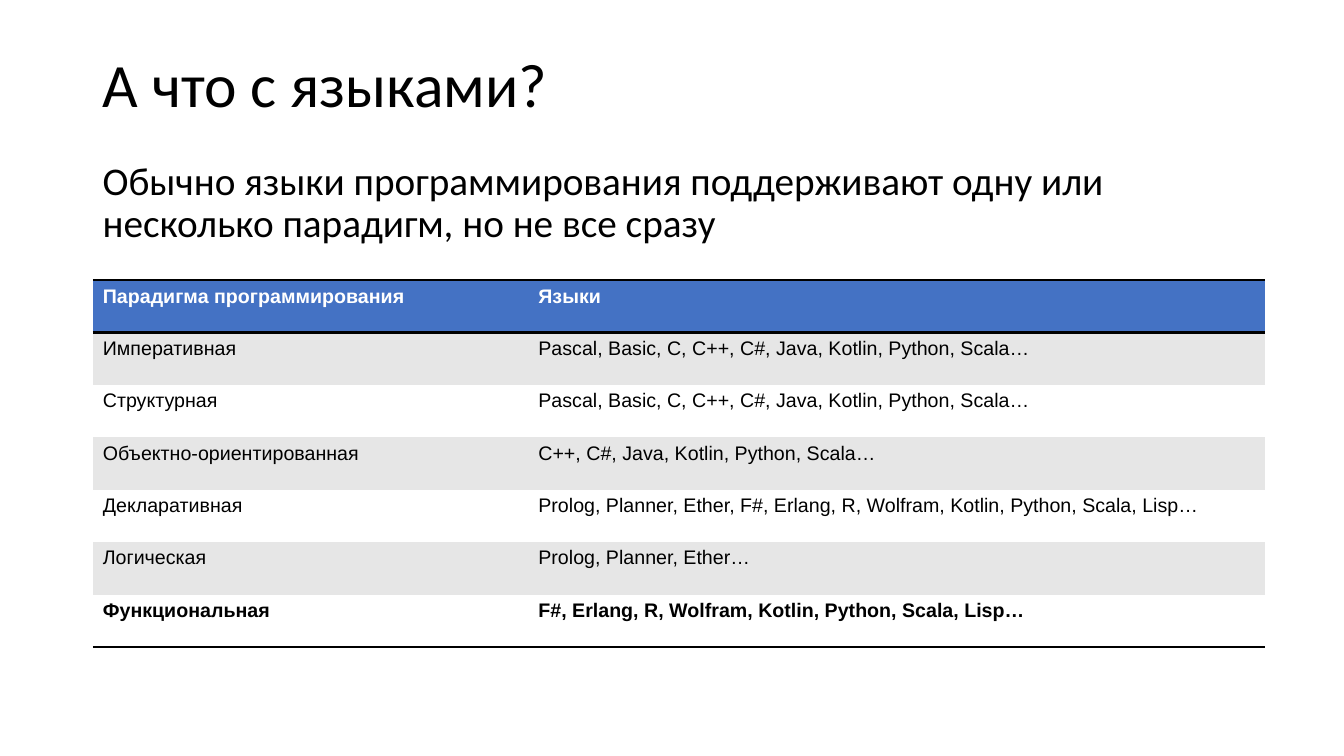
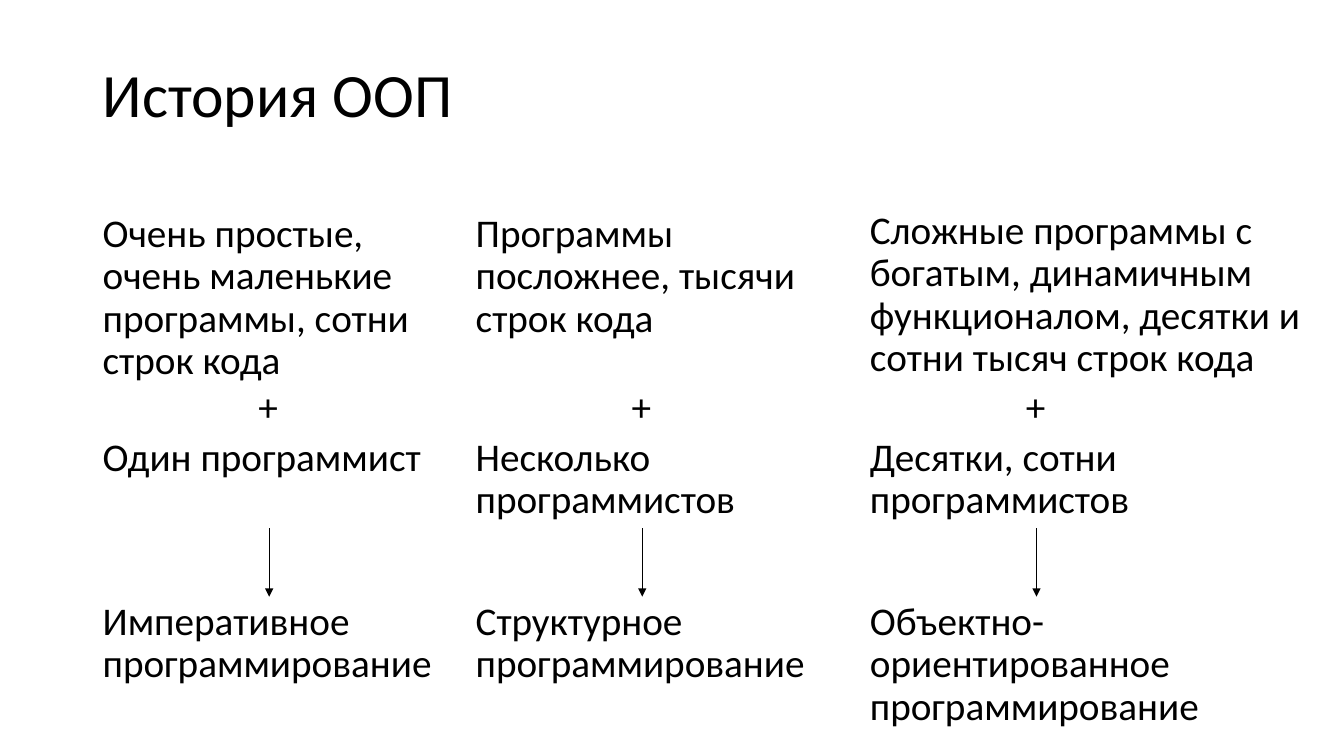
from lxml import etree
from pptx import Presentation
from pptx.dml.color import RGBColor
from pptx.enum.shapes import MSO_CONNECTOR as Line
from pptx.enum.text import MSO_ANCHOR as Anchor
from pptx.oxml.ns import qn
from pptx.util import Inches, Pt

# Shared look
BLACK = RGBColor(0x00, 0x00, 0x00)
WHITE = RGBColor(0xFF, 0xFF, 0xFF)
BLUE = RGBColor(0x44, 0x72, 0xC4)
GREY = RGBColor(0xE6, 0xE6, 0xE6)
TEXT_FONT, TABLE_FONT = "Calibri", "Arial"
TITLE_SIZE, BODY_SIZE, TABLE_SIZE = 44, 28, 14
NO_STYLE = "{2D5ABB26-0587-4C30-8999-92F81FD0307C}"

# Grid, in inches
LEFT, WIDTH = 0.92, 11.5
COLUMNS = (LEFT, 4.62, 8.53)
COL_W = 3.5
PROGRAMS_Y, PLUS_Y, PEOPLE_Y, ARROW_Y, PARADIGM_Y = 2.07, 3.8, 4.29, 5.24, 5.92
PLUS_W = 0.41
TABLE_Y, ROW_H, TABLE_COLS = 2.78, 0.52, (4.32, 7.31)

LANGUAGES = [
    ("Парадигма программирования", "Языки"),
    ("Императивная", "Pascal, Basic, C, C++, C#, Java, Kotlin, Python, Scala…"),
    ("Структурная", "Pascal, Basic, C, C++, C#, Java, Kotlin, Python, Scala…"),
    ("Объектно-ориентированная", "C++, C#, Java, Kotlin, Python, Scala…"),
    ("Декларативная", "Prolog, Planner, Ether, F#, Erlang, R, Wolfram, Kotlin, Python, Scala, Lisp…"),
    ("Логическая", "Prolog, Planner, Ether…"),
    ("Функциональная", "F#, Erlang, R, Wolfram, Kotlin, Python, Scala, Lisp…"),
]

# Programs, their box height, people, paradigm
STAGES = [
    ("Очень простые, очень маленькие программы, сотни строк кода", 1.73,
     "Один программист", "Императивное программирование"),
    ("Программы посложнее, тысячи строк кода", 1.42,
     "Несколько программистов", "Структурное программирование"),
    ("Сложные программы с богатым, динамичным функционалом, десятки и сотни тысяч строк кода", 1.42,
     "Десятки, сотни программистов", "Объектно-ориентированное программирование"),
]


def add_run(p, text, size, font=TEXT_FONT, color=BLACK, bold=False):
    r = p.add_run()
    r.text = text
    r.font.size, r.font.name, r.font.bold = Pt(size), font, bold
    r.font.color.rgb = color


def add_text(s, text, x, y, w, h, size=BODY_SIZE, anchor=Anchor.TOP):
    sp = s.shapes.add_textbox(Inches(x), Inches(y), Inches(w), Inches(h))
    tf = sp.text_frame
    tf.word_wrap = True
    tf.vertical_anchor = anchor
    p = tf.paragraphs[0]
    p.line_spacing = 0.9
    add_run(p, text, size)
    return sp


def add_titled_slide(prs, title, y, h):
    s = prs.slides.add_slide(prs.slide_layouts[6])
    add_text(s, title, LEFT, y, WIDTH, h, TITLE_SIZE, Anchor.MIDDLE)
    return s


def add_arrow_to(s, box, x, y):
    """Draw an arrow down to the middle of the box's top side."""
    arrow = s.shapes.add_connector(Line.STRAIGHT, Inches(x), Inches(y), Inches(x), box.top)
    arrow.end_connect(box, 0)
    arrow.line.color.rgb = BLACK
    arrow.line.width = Pt(0.75)
    etree.SubElement(arrow.line._get_or_add_ln(), qn("a:tailEnd"), type="triangle")
    etree.SubElement(arrow._element.spPr, qn("a:effectLst"))


def add_border(cell, side):
    tc_pr = cell._tc.get_or_add_tcPr()
    ln = etree.SubElement(tc_pr, qn("a:" + side), w=str(Pt(2)))
    fill = etree.SubElement(ln, qn("a:solidFill"))
    etree.SubElement(fill, qn("a:srgbClr"), val=str(BLACK))


def add_language_table(s, rows):
    frame = s.shapes.add_table(len(rows), len(TABLE_COLS), Inches(LEFT), Inches(TABLE_Y),
                               Inches(sum(TABLE_COLS)), Inches(ROW_H * len(rows)))
    table = frame.table
    table.first_row = table.horz_banding = False
    table._tbl.tblPr.find(qn("a:tableStyleId")).text = NO_STYLE
    for column, w in zip(table.columns, TABLE_COLS):
        column.width = Inches(w)

    last = len(rows) - 1
    for i, texts in enumerate(rows):
        table.rows[i].height = Inches(ROW_H)
        header = i == 0
        band = BLUE if header else GREY if i % 2 else WHITE
        for j, text in enumerate(texts):
            cell = table.cell(i, j)
            # Borders come before the fill in the cell's XML
            if header:
                add_border(cell, "lnT")
            if i in (0, last):
                add_border(cell, "lnB")
            cell.fill.solid()
            cell.fill.fore_color.rgb = band
            add_run(cell.text_frame.paragraphs[0], text, TABLE_SIZE, TABLE_FONT,
                    WHITE if header else BLACK, bold=i in (0, last))


def add_stage(s, x, stage, programs_y=PROGRAMS_Y, programs_w=COL_W):
    programs, programs_h, people, paradigm = stage
    middle = x + COL_W / 2
    add_text(s, programs, x, programs_y, programs_w, programs_h)
    add_text(s, "+", middle - PLUS_W / 2, PLUS_Y, PLUS_W, 0.45)
    add_text(s, people, x, PEOPLE_Y, COL_W, 0.6)
    box = add_text(s, paradigm, x, PARADIGM_Y, COL_W, 1.19)
    add_arrow_to(s, box, middle, ARROW_Y)


def main():
    prs = Presentation()
    prs.slide_width, prs.slide_height = Inches(13.33), Inches(7.5)

    # Languages by paradigm
    s = add_titled_slide(prs, "А что с языками?", 0.4, 0.94)
    add_text(s, "Обычно языки программирования поддерживают одну или несколько парадигм, но не все сразу",
             LEFT, 1.55, WIDTH, 1.23)
    add_language_table(s, LANGUAGES)

    # History of OOP, the last column being wider at the top
    s = add_titled_slide(prs, "История ООП", 0.53, 0.88)
    for x, stage in zip(COLUMNS[:-1], STAGES):
        add_stage(s, x, stage)
    add_stage(s, COLUMNS[-1], STAGES[-1], programs_y=2.04, programs_w=4.47)

    prs.save("out.pptx")


if __name__ == "__main__":
    main()
